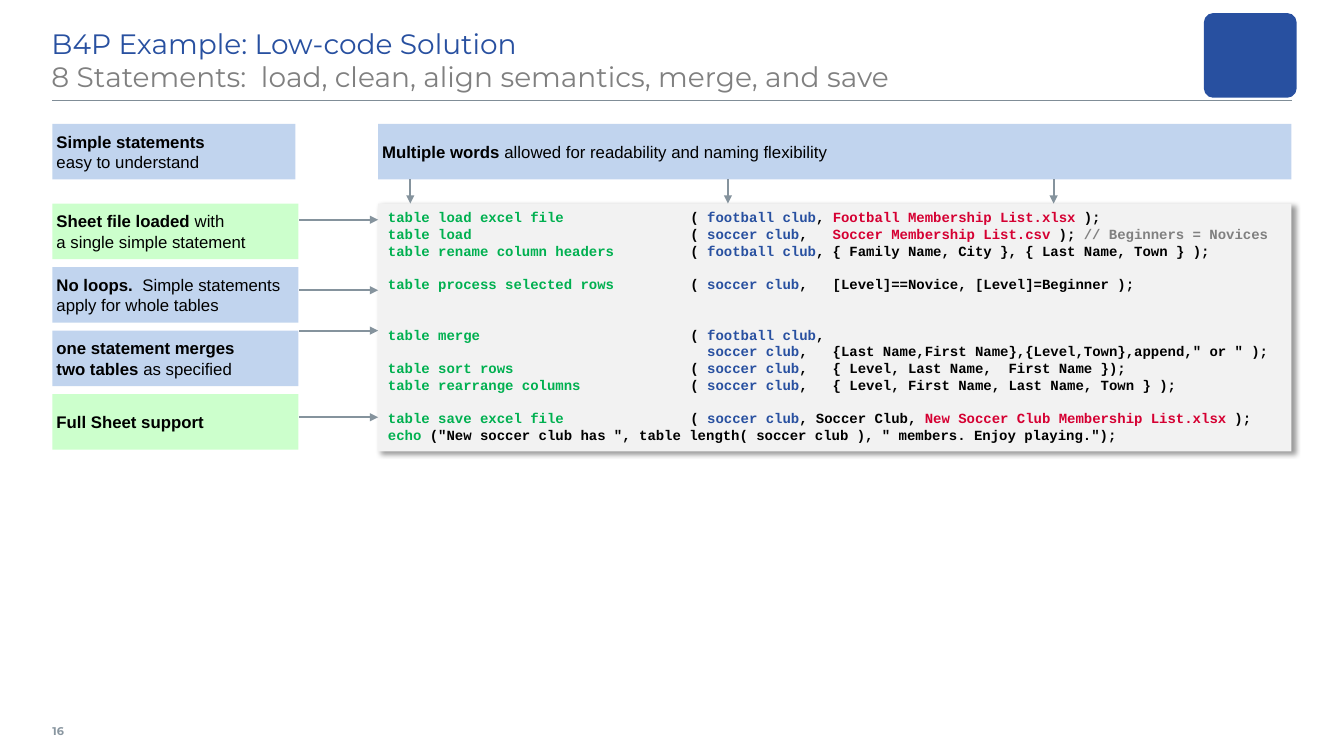
"""Build the low-code solution slide: statement notes pointing at a code panel."""
from lxml.etree import SubElement
from pptx import Presentation
from pptx.dml.color import RGBColor
from pptx.enum.shapes import MSO_CONNECTOR as Connector, MSO_SHAPE as Preset
from pptx.enum.text import MSO_ANCHOR as Anchor, PP_ALIGN as Align
from pptx.oxml.ns import qn
from pptx.util import Inches, Pt

BLACK, BLUE, GREEN, RED, GRAY = "000000", "2850A0", "00B050", "D50032", "808080"
SKY, MINT, SLATE = "C1D4EE", "CCFFCC", "85939D"


def paint(color_format, color):
    color_format.rgb = RGBColor.from_string(color)


def write(para, text, color, **formats):
    span = para.add_run()
    span.text = text
    for name, value in formats.items():
        setattr(span.font, name, value)
    paint(span.font.color, color)


deck = Presentation()
deck.slide_width, deck.slide_height = Inches(13.33), Inches(7.5)
page = deck.slides.add_slide(deck.slide_layouts[5])

title = page.shapes.title
title.left, title.top = Inches(0.51), Inches(0.21)
title.width, title.height = Inches(11.26), Inches(0.79)
frame = title.text_frame
frame.vertical_anchor, frame.word_wrap = Anchor.TOP, True
frame.margin_left = 0
para = frame.paragraphs[0]
para.alignment = Align.LEFT
title_format = {"name": "Montserrat", "size": Pt(20), "bold": False}
write(para, "B4P Example: Low-code Solution", BLUE, **title_format)
para.add_line_break()
write(para, "8 Statements:  load, clean, align semantics, merge, and save", GRAY, **title_format)

number = page.shapes.add_textbox(Inches(0.52), Inches(7.06), Inches(0.47), Inches(0.39))
frame = number.text_frame
frame.vertical_anchor, frame.margin_left = Anchor.MIDDLE, 0
write(frame.paragraphs[0], "16", "8996A0", name="Montserrat", size=Pt(8), bold=True)

badge = page.shapes.add_shape(
    Preset.ROUNDED_RECTANGLE, Inches(11.94), Inches(0.13), Inches(0.92), Inches(0.84))
badge.adjustments[0] = 0.11
badge.shadow.inherit = False
badge.fill.solid()
paint(badge.fill.fore_color, BLUE)
badge.line.fill.background()

# Each note line is a bold part followed by a regular part.
notes = [
    (0.52, 1.23, 2.41, SKY, [("Simple statements", ""), ("", "easy to understand")]),
    (3.75, 1.23, 9.06, SKY,
     [("Multiple words ", "allowed for readability and naming flexibility")]),
]
stack = [
    (MINT, [("Sheet file loaded ", "with"), ("", "a single simple statement")]),
    (SKY, [("No loops.  ", "Simple statements"), ("", "apply for whole tables")]),
    (SKY, [("one statement merges", ""), ("two tables ", "as specified")]),
    (MINT, [("Full Sheet support", "")]),
]
notes += [(0.52, 2.02 + 0.63 * row, 2.44, fill, lines)
          for row, (fill, lines) in enumerate(stack)]

for left, top, width, fill, lines in notes:
    note = page.shapes.add_shape(
        Preset.RECTANGLE, Inches(left), Inches(top), Inches(width), Inches(0.55))
    note.shadow.inherit = False
    note.fill.solid()
    paint(note.fill.fore_color, fill)
    note.line.fill.background()
    frame = note.text_frame
    frame.word_wrap, frame.vertical_anchor = True, Anchor.MIDDLE
    for side in ("left", "top", "right", "bottom"):
        setattr(frame, f"margin_{side}", Inches(0.04))
    for index, parts in enumerate(lines):
        para = frame.add_paragraph() if index else frame.paragraphs[0]
        para.alignment = Align.LEFT
        for text, bold in zip(parts, (True, False)):
            if text:
                write(para, text, BLACK, name="Arial", size=Pt(12), bold=bold)

panel = page.shapes.add_shape(
    Preset.RECTANGLE, Inches(3.75), Inches(2.02), Inches(9.06), Inches(2.46))
panel.shadow.inherit = False
panel.fill.solid()
paint(panel.fill.fore_color, "F2F2F2")
panel.line.fill.background()
effects = panel._element.spPr.find(qn("a:effectLst"))
shadow = SubElement(effects, qn("a:outerShdw"), blurRad=str(Pt(4)), dist=str(Pt(3)),
                    dir="2700000", algn="tl", rotWithShape="0")
shade = SubElement(shadow, qn("a:srgbClr"), val=BLACK)
SubElement(shade, qn("a:alpha"), val="40000")

football, soccer = ("football club", BLUE), ("soccer club", BLUE)
opening, closing = ("\t( ", BLACK), (" );", BLACK)
# Each statement starts with the number of empty lines above it.
statements = [
    (0, ("table load excel file", GREEN), opening, football, (", ", BLACK),
     ("Football Membership List.xlsx", RED), closing),
    (0, ("table load", GREEN), opening, soccer, (",   ", BLACK),
     ("Soccer Membership List.csv ", RED), ("); ", BLACK), ("// Beginners = Novices", GRAY)),
    (0, ("table rename column headers", GREEN), opening, football,
     (", { Family Name, City }, { Last Name, Town } );", BLACK)),
    (1, ("table process selected rows", GREEN), opening, soccer,
     (",   [Level]==Novice, [Level]=Beginner );", BLACK)),
    (2, ("table merge", GREEN), opening, football, (",", BLACK)),
    (0, ("\t  soccer club", BLUE),
     (',   {Last Name,First Name},{Level,Town},append," or " );', BLACK)),
    (0, ("table sort rows", GREEN), opening, soccer,
     (",   { Level, Last Name,  First Name });", BLACK)),
    (0, ("table rearrange columns", GREEN), opening, soccer,
     (",   { Level, First Name, Last Name, Town } );", BLACK)),
    (1, ("table save excel file", GREEN), opening, soccer, (", Soccer Club, ", BLACK),
     ("New Soccer Club Membership List.xlsx", RED), closing),
    (0, ("echo ", GREEN),
     ('("New soccer club has ", table length( soccer club ), " members. Enjoy playing.");',
      BLACK)),
]
frame = panel.text_frame
frame.word_wrap, frame.vertical_anchor = True, Anchor.TOP
for index, (gap, *spans) in enumerate(statements):
    para = frame.add_paragraph() if index else frame.paragraphs[0]
    tabs = SubElement(para._p.get_or_add_pPr(), qn("a:tabLst"))
    SubElement(tabs, qn("a:tab"), pos=str(Inches(3)), algn="l")
    para.alignment, para.line_spacing = Align.LEFT, Pt(12)
    if gap:
        para.space_before = Pt(12 * gap)
    for text, color in spans:
        write(para, text, color, name="Courier New", size=Pt(10), bold=True)

lines = [(0.52, 1, 12.81, 1, "808D97", 1, False)]
lines += [(2.97, y, 3.75, y, SLATE, 1.5, True) for y in (2.18, 2.88, 3.28, 4.14)]
lines += [(x, 1.78, x, 2.02, SLATE, 1.5, True) for x in (4.07, 7.22, 10.45)]
for x1, y1, x2, y2, color, weight, arrow in lines:
    line = page.shapes.add_connector(
        Connector.STRAIGHT, Inches(x1), Inches(y1), Inches(x2), Inches(y2))
    paint(line.line.color, color)
    line.line.width = Pt(weight)
    if arrow:
        SubElement(line.line._get_or_add_ln(), qn("a:tailEnd"), type="triangle")
    SubElement(line._element.spPr, qn("a:effectLst"))

deck.save("out.pptx")
